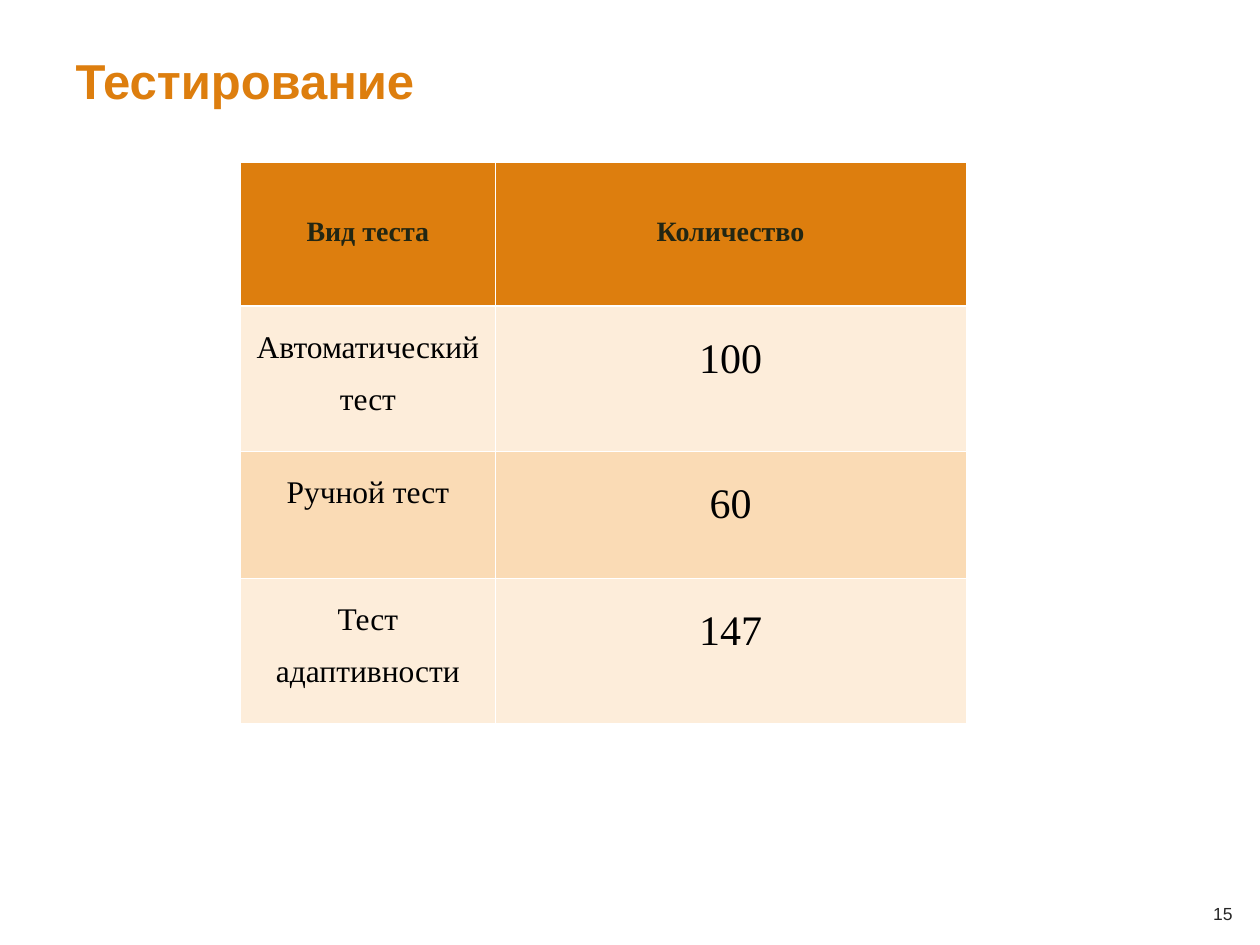
from lxml.etree import SubElement
from pptx import Presentation
from pptx.dml.color import RGBColor
from pptx.enum.text import MSO_ANCHOR, PP_ALIGN
from pptx.oxml import parse_xml
from pptx.oxml.ns import qn
from pptx.util import Pt


def paint(hue):
    return RGBColor.from_string(hue)


def style(para, face, size, hue, bold=False):
    for run in para.runs:
        font = run.font
        font.name, font.size, font.bold = face, Pt(size), bold
        font.color.rgb = paint(hue)


deck = Presentation()
deck.slide_width, deck.slide_height = Pt(720), Pt(540)
slide = deck.slides.add_slide(deck.slide_layouts[5])

# Title with a text shadow
title = slide.shapes.title
title.left, title.top, title.width, title.height = Pt(36), Pt(10.8), Pt(666), Pt(69.8)
frame = title.text_frame
frame.text = "Тестирование"
frame.vertical_anchor = MSO_ANCHOR.MIDDLE
para = frame.paragraphs[0]
para.alignment = PP_ALIGN.LEFT
style(para, "Arial", 28, "DD7E0E", True)
glow = parse_xml(
    '<a:effectLst xmlns:a="http://schemas.openxmlformats.org/drawingml/2006/main">'
    '<a:outerShdw dist="25400" dir="2700000"><a:srgbClr val="808080"/></a:outerShdw>'
    '</a:effectLst>')
para.runs[0].font.fill._xPr.find(qn("a:solidFill")).addnext(glow)

# Slide number
box = slide.shapes.add_textbox(Pt(680.4), Pt(507.6), Pt(36.7), Pt(28.8))
frame = box.text_frame
frame.word_wrap = True
frame.vertical_anchor = MSO_ANCHOR.MIDDLE
frame.text = "15"
frame.paragraphs[0].alignment = PP_ALIGN.CENTER
style(frame.paragraphs[0], "Arial", 10, "262626")

# Table of test counts
rows = [
    ("Вид теста", "Количество"),
    ("Автоматический тест", "100"),
    ("Ручной тест", "60"),
    ("Тест адаптивности", "147"),
]
tall = [82, 83, 72.5, 83]
wide = [145.5, 269]
fills = ["DD7E0E", "FDEDDA", "FADBB5", "FDEDDA"]
table = slide.shapes.add_table(4, 2, Pt(137.5), Pt(93), Pt(sum(wide)), Pt(sum(tall))).table
for col, width in zip(table.columns, wide):
    col.width = Pt(width)

for r, texts in enumerate(rows):
    table.rows[r].height = Pt(tall[r])
    for c, text in enumerate(texts):
        cell = table.cell(r, c)
        cell.text = text
        cell.margin_left = cell.margin_right = Pt(5)
        cell.margin_top = Pt(22 if r == 0 else 3.6)
        cell.margin_bottom = Pt(3.6)
        para = cell.text_frame.paragraphs[0]
        para.alignment = PP_ALIGN.CENTER
        para.line_spacing = 1.5
        if r == 0:
            style(para, "Times New Roman", 16, "222613", True)
        else:
            style(para, "Times New Roman", [18, 24][c], "000000")

        # White borders, thicker under the header
        props = cell._tc.get_or_add_tcPr()
        for side in "LRTB":
            thick = (r, side) in [(0, "B"), (1, "T")]
            line = SubElement(props, qn("a:ln" + side), w=str(Pt(1.47 if thick else 0.45)))
            solid = SubElement(line, qn("a:solidFill"))
            SubElement(solid, qn("a:srgbClr"), val="FFFFFF")
        cell.fill.solid()
        cell.fill.fore_color.rgb = paint(fills[r])

deck.save("out.pptx")
